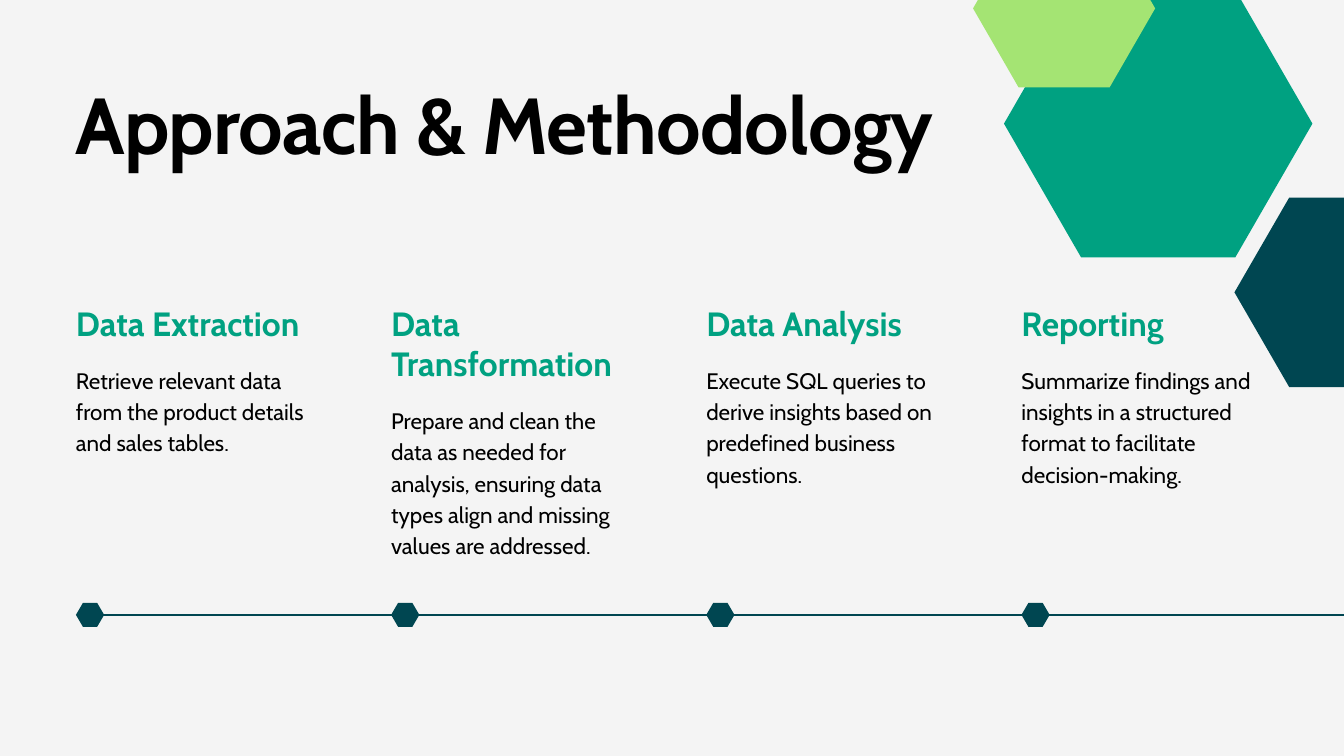
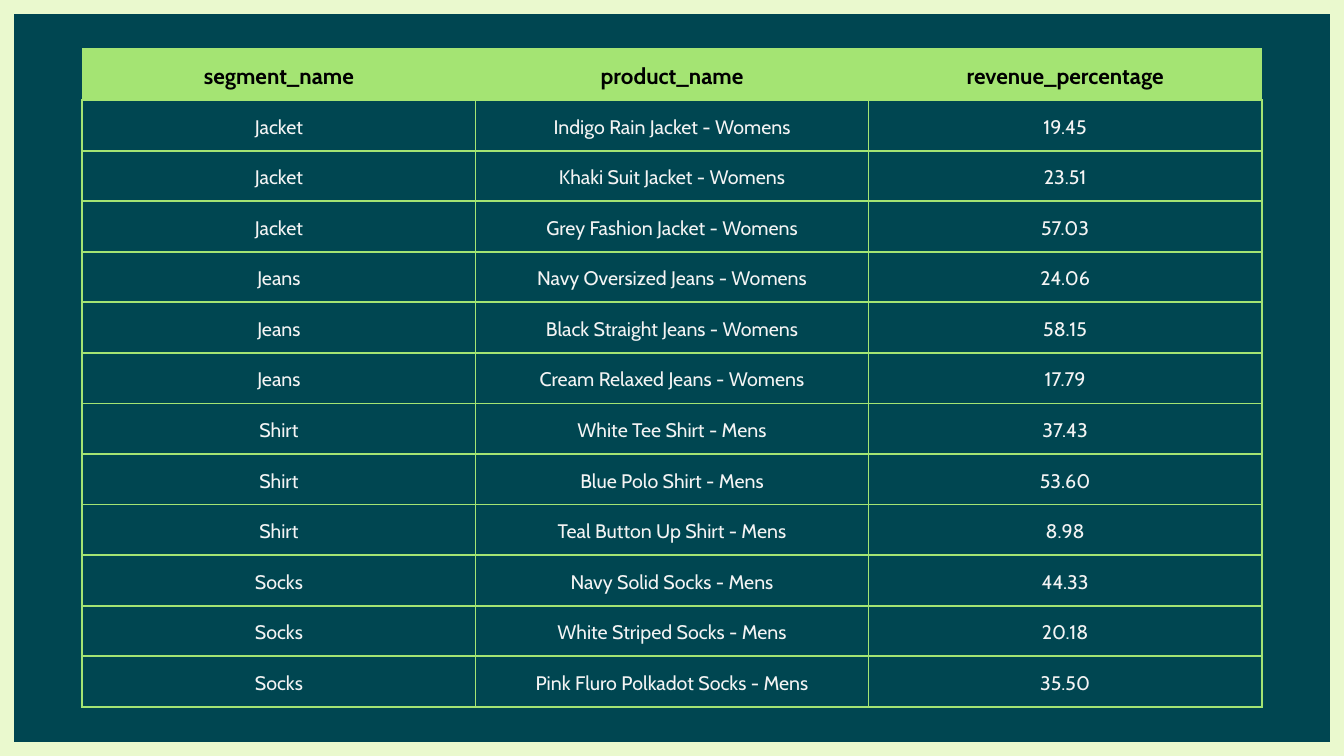
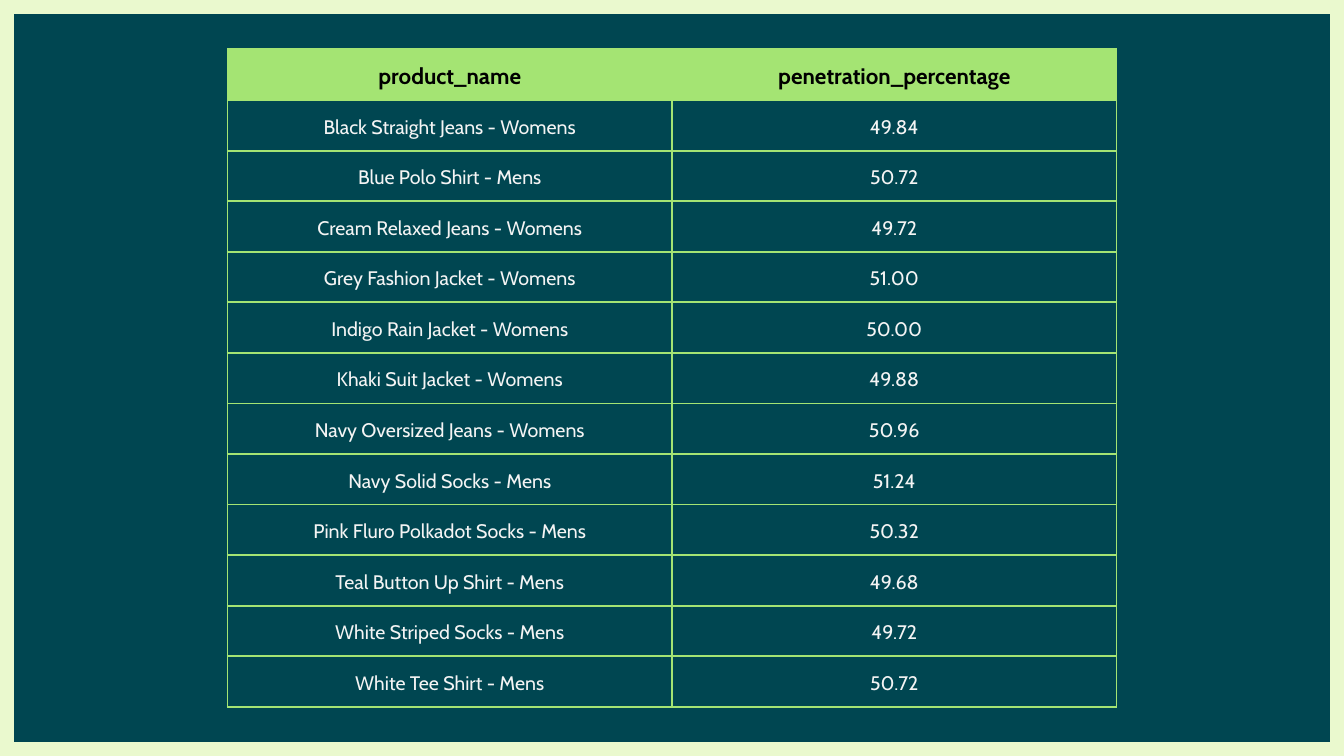
from lxml import etree
from pptx import Presentation
from pptx.dml.color import RGBColor
from pptx.enum.shapes import MSO_CONNECTOR, MSO_SHAPE
from pptx.enum.text import MSO_ANCHOR, MSO_AUTO_SIZE, PP_ALIGN
from pptx.oxml.ns import qn
from pptx.util import Inches, Pt

STRAIGHT = MSO_CONNECTOR.STRAIGHT
HEXAGON, RECTANGLE = MSO_SHAPE.HEXAGON, MSO_SHAPE.RECTANGLE
MIDDLE, GROW = MSO_ANCHOR.MIDDLE, MSO_AUTO_SIZE.SHAPE_TO_FIT_TEXT
LEFT, CENTER = PP_ALIGN.LEFT, PP_ALIGN.CENTER

FONT = "Cabin"
PAPER, INK = "F4F4F4", "000000"
TEAL, GREEN, LIME, PALE = "004651", "00A181", "A4E473", "EAF9CE"
SLIDE_W, SLIDE_H = 20, 11.25

STEP_LEFT, STEP_PITCH, STEP_W = 1.13, 4.69, 3.68
STEP_TOP, HEADING_LINE, BODY_LINE, HEADING_GAP = 4.51, 0.6, 0.45, 0.28
TIMELINE_Y, NODE_W, NODE_H = 9.15, 0.42, 0.36
TABLE_TOP, TABLE_H, HEADER_H = 0.72, 9.8, 0.77

STEPS = [
    ("Data Extraction", 1,
     "Retrieve relevant data from the product details and sales tables.", 3),
    ("Data Transformation", 2,
     "Prepare and clean the data as needed for analysis, ensuring data "
     "types align and missing values are addressed.", 5),
    ("Data Analysis", 1,
     "Execute SQL queries to derive insights based on predefined business "
     "questions.", 4),
    ("Reporting", 1,
     "Summarize findings and insights in a structured format to facilitate "
     "decision-making.", 4),
]
CORNER_HEXAGONS = [
    (18.37, 2.94, 3.26, 2.82, TEAL),
    (14.94, -0.15, 4.59, 3.98, GREEN),
    (14.48, -1.05, 2.71, 2.35, LIME),
]
REVENUE = [
    ("segment_name", "product_name", "revenue_percentage"),
    ("Jacket", "Indigo Rain Jacket - Womens", "19.45"),
    ("Jacket", "Khaki Suit Jacket - Womens", "23.51"),
    ("Jacket", "Grey Fashion Jacket - Womens", "57.03"),
    ("Jeans", "Navy Oversized Jeans - Womens", "24.06"),
    ("Jeans", "Black Straight Jeans - Womens", "58.15"),
    ("Jeans", "Cream Relaxed Jeans - Womens", "17.79"),
    ("Shirt", "White Tee Shirt - Mens", "37.43"),
    ("Shirt", "Blue Polo Shirt - Mens", "53.60"),
    ("Shirt", "Teal Button Up Shirt - Mens", "8.98"),
    ("Socks", "Navy Solid Socks - Mens", "44.33"),
    ("Socks", "White Striped Socks - Mens", "20.18"),
    ("Socks", "Pink Fluro Polkadot Socks - Mens", "35.50"),
]
PENETRATION = [
    ("product_name", "penetration_percentage"),
    ("Black Straight Jeans - Womens", "49.84"),
    ("Blue Polo Shirt - Mens", "50.72"),
    ("Cream Relaxed Jeans - Womens", "49.72"),
    ("Grey Fashion Jacket - Womens", "51.00"),
    ("Indigo Rain Jacket - Womens", "50.00"),
    ("Khaki Suit Jacket - Womens", "49.88"),
    ("Navy Oversized Jeans - Womens", "50.96"),
    ("Navy Solid Socks - Mens", "51.24"),
    ("Pink Fluro Polkadot Socks - Mens", "50.32"),
    ("Teal Button Up Shirt - Mens", "49.68"),
    ("White Striped Socks - Mens", "49.72"),
    ("White Tee Shirt - Mens", "50.72"),
]


def rgb(hex_color):
    """Turn a hex string into a colour."""
    return RGBColor.from_string(hex_color)


def paint(fill, color):
    """Give a fill one solid colour."""
    fill.solid()
    fill.fore_color.rgb = rgb(color)


def write(frame, text, size=24, color=INK, bold=False, align=LEFT,
          leading=1.4, spacing=None):
    """Write one formatted paragraph into a text frame."""
    paragraph = frame.paragraphs[0]
    paragraph.alignment = align
    paragraph.line_spacing = Pt(size * leading)
    run = paragraph.add_run()
    run.text = text
    run.font.name, run.font.size, run.font.bold = FONT, Pt(size), bold
    run.font.color.rgb = rgb(color)
    if spacing is not None:
        run._r.get_or_add_rPr().set("spc", str(round(spacing * 100)))


def add_text(slide, left, top, width, height, text, **style):
    """Add a wrapping text box without margins."""
    frame = slide.shapes.add_textbox(
        Inches(left), Inches(top), Inches(width), Inches(height)).text_frame
    frame.word_wrap = True
    frame.auto_size = GROW
    frame.margin_left = frame.margin_right = 0
    frame.margin_top = frame.margin_bottom = 0
    write(frame, text, **style)


def add_block(slide, kind, left, top, width, height, color):
    """Add a flat preset shape without an outline."""
    block = slide.shapes.add_shape(
        kind, Inches(left), Inches(top), Inches(width), Inches(height))
    block.shadow.inherit = False
    paint(block.fill, color)
    block.line.fill.background()
    return block


def add_hexagon(slide, left, top, width, height, color):
    """Add a hexagon whose corners sit a quarter of the width in."""
    hexagon = add_block(slide, HEXAGON, left, top, width, height, color)
    hexagon.adjustments[0] = width / 4 / height


def add_timeline(slide):
    """Draw the rule that runs from the first node to the slide edge."""
    y = Inches(TIMELINE_Y)
    rule = slide.shapes.add_connector(
        STRAIGHT, Inches(STEP_LEFT + NODE_W / 2), y, Inches(SLIDE_W), y)
    rule.line.color.rgb = rgb(TEAL)
    rule.line.width = Pt(1.5)
    etree.SubElement(rule._element.spPr, qn("a:effectLst"))


def add_step(slide, left, heading, heading_lines, body, body_lines):
    """Add a step with its body following the heading."""
    heading_h = heading_lines * HEADING_LINE
    add_text(slide, left, STEP_TOP, STEP_W, heading_h, heading,
             size=36, color=GREEN, bold=True, leading=1.2)
    add_text(slide, left, STEP_TOP + heading_h + HEADING_GAP, STEP_W,
             body_lines * BODY_LINE, body)


def set_borders(cell, **widths):
    """Draw lime cell borders, with widths in points by side."""
    properties = cell._tc.get_or_add_tcPr()
    for position, (side, width) in enumerate(widths.items()):
        border = etree.Element(qn(f"a:ln{side}"), w=str(Pt(width)))
        fill = etree.SubElement(border, qn("a:solidFill"))
        etree.SubElement(fill, qn("a:srgbClr"), val=LIME)
        properties.insert(position, border)


def fill_cell(cell, text, is_header):
    """Write and style a header or body cell."""
    cell.margin_left = cell.margin_right = 0
    cell.margin_top = cell.margin_bottom = 0
    cell.vertical_anchor = MIDDLE
    paint(cell.fill, LIME if is_header else TEAL)
    edge = 0.75 if is_header else 2.25
    set_borders(cell, L=edge, R=edge, T=edge, B=2.25)
    write(cell.text_frame, text, size=24 if is_header else 21,
          color=INK if is_header else PAPER, bold=is_header, align=CENTER)


def add_results(slide, rows, width):
    """Add a centred result table with equal columns."""
    columns = len(rows[0])
    table = slide.shapes.add_table(
        len(rows), columns, Inches((SLIDE_W - width) / 2), Inches(TABLE_TOP),
        Inches(width), Inches(TABLE_H)).table
    for column in table.columns:
        column.width = Inches(width / columns)
    row_h = (TABLE_H - HEADER_H) / (len(rows) - 1)
    for r, values in enumerate(rows):
        table.rows[r].height = Inches(row_h if r else HEADER_H)
        for c, value in enumerate(values):
            fill_cell(table.cell(r, c), value, r == 0)


def add_slide(deck):
    """Add a blank slide on the paper background."""
    slide = deck.slides.add_slide(deck.slide_layouts[6])
    paint(slide.background.fill, PAPER)
    return slide


def build_approach(deck):
    """Build the four-step approach slide."""
    slide = add_slide(deck)
    add_timeline(slide)
    lefts = [STEP_LEFT + i * STEP_PITCH for i in range(len(STEPS))]
    for left, step in zip(lefts, STEPS):
        add_step(slide, left, *step)
    add_text(slide, 1.12, 1.12, 15.37, 1.41, "Approach & Methodology",
             size=85, bold=True, leading=1.2, spacing=-0.8)
    for left in lefts:
        add_hexagon(slide, left, TIMELINE_Y - NODE_H / 2, NODE_W, NODE_H, TEAL)
    for hexagon in CORNER_HEXAGONS:
        add_hexagon(slide, *hexagon)


def build_results(deck, rows, width):
    """Build a framed slide holding one result table."""
    slide = add_slide(deck)
    panel = add_block(slide, RECTANGLE, 0, 0, SLIDE_W, SLIDE_H, TEAL)
    panel.line.color.rgb = rgb(PALE)
    panel.line.width = Pt(30)
    add_results(slide, rows, width)


def main():
    """Build and save the deck."""
    deck = Presentation()
    deck.slide_width, deck.slide_height = Inches(SLIDE_W), Inches(SLIDE_H)
    build_approach(deck)
    build_results(deck, REVENUE, 17.55)
    build_results(deck, PENETRATION, 13.23)
    deck.save("out.pptx")


if __name__ == "__main__":
    main()
